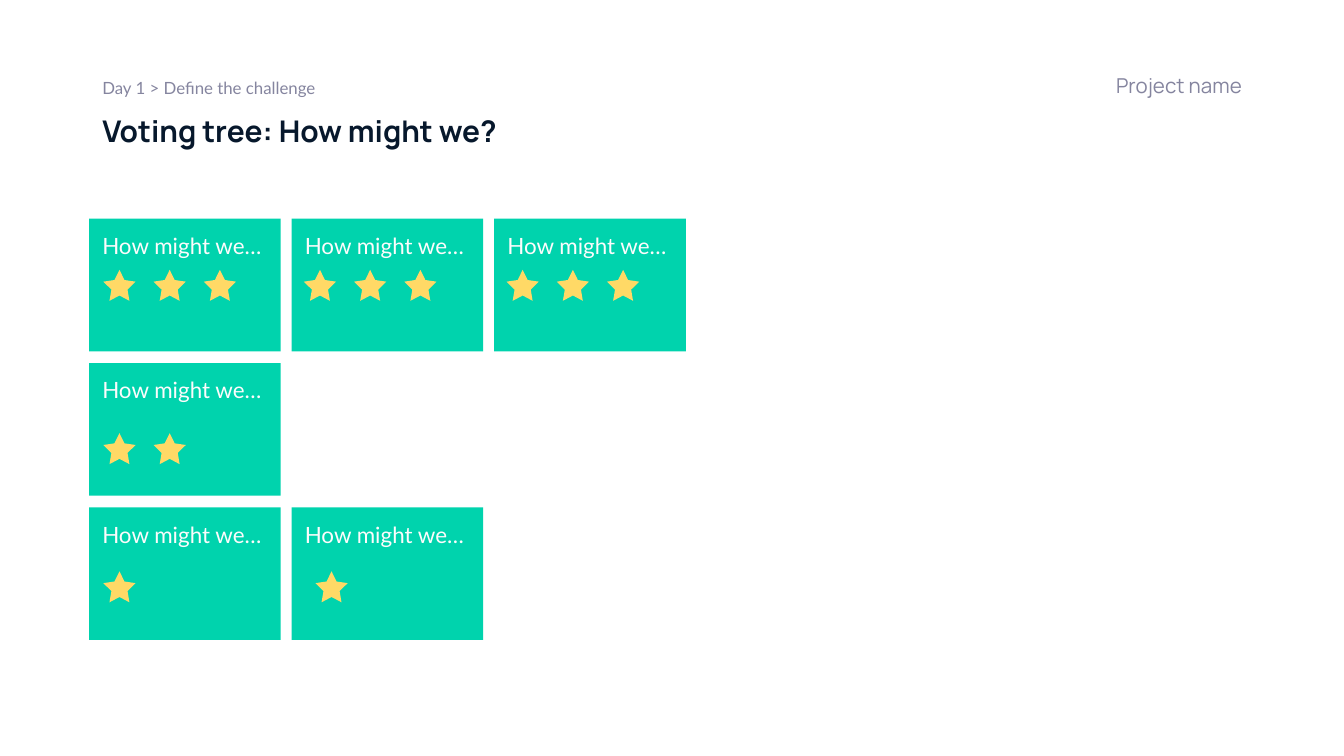
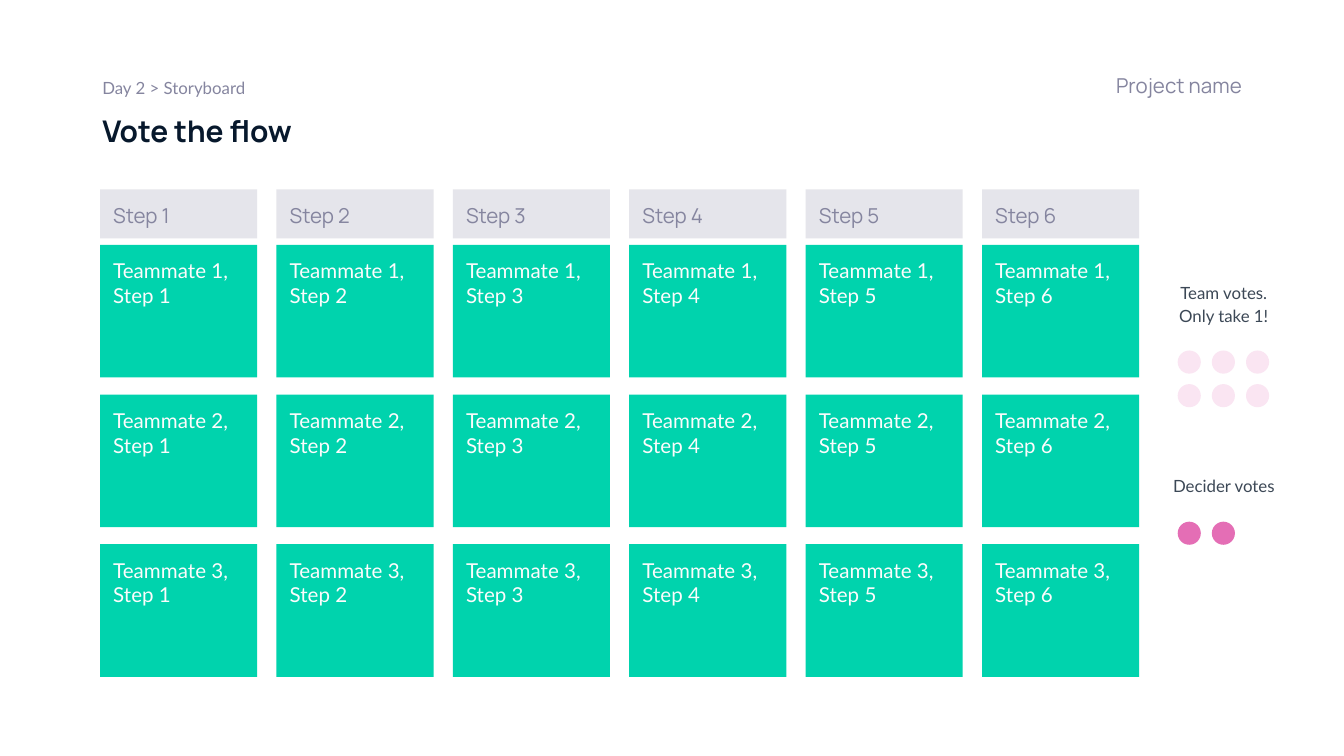
from dataclasses import dataclass

from pptx import Presentation
from pptx.dml.color import RGBColor
from pptx.enum.shapes import MSO_SHAPE
from pptx.enum.text import MSO_ANCHOR, MSO_AUTO_SIZE, PP_ALIGN
from pptx.util import Pt

# Content
PROJECT = "Project name"
VOTING = {
    "crumb": "Day 1 > Define the challenge",
    "title": "Voting tree: How might we?",
    "card": "How might we…",
    # row, column, votes, offset of the first star from the card
    "cards": [
        (0, 0, 3, 7.7), (0, 1, 3, 6.6), (0, 2, 3, 6.7),
        (1, 0, 2, 7.7),
        (2, 0, 1, 7.7), (2, 1, 1, 12.8),
    ],
}
FLOW = {
    "crumb": "Day 2 > Storyboard",
    "title": "Vote the flow",
    "steps": [f"Step {n}" for n in range(1, 7)],
    "teammates": [f"Teammate {n}" for n in range(1, 4)],
    # label, label box, dots, dots per row, top of the dots, colour name
    "votes": [
        ("Team votes. Only take 1!", (622.8, 152.6, 65.5, 19.4), 6, 3, 187.8, "team"),
        ("Decider votes", (618.5, 249.8, 74.2, 19.4), 2, 3, 279.5, "decider"),
    ],
}


@dataclass(frozen=True)
class Theme:
    head: str = "Manrope"
    body: str = "Lato"
    title_size: float = 16
    card_size: float = 12
    text_size: float = 11
    small_size: float = 9
    inset: float = 7.2
    white: str = "FFFFFF"
    ink: str = "07182C"
    muted: str = "85859F"
    label: str = "3C4856"
    on_card: str = "FCFCFC"
    card: str = "00D3AD"
    step: str = "E5E5EB"
    star: str = "FFD966"
    team: str = "FAE5F2"
    decider: str = "E46EB5"


T = Theme()


# Helpers
def write(sp, text, font, size, color, bold=False, align=PP_ALIGN.LEFT,
          anchor=MSO_ANCHOR.TOP, bottom=T.inset):
    tf = sp.text_frame
    tf.word_wrap = True
    tf.auto_size = MSO_AUTO_SIZE.NONE
    tf.vertical_anchor = anchor
    tf.margin_left = tf.margin_top = tf.margin_right = Pt(T.inset)
    tf.margin_bottom = Pt(bottom)
    p = tf.paragraphs[0]
    p.alignment = align
    r = p.add_run()
    r.text = text
    r.font.name, r.font.size, r.font.bold = font, Pt(size), bold
    r.font.color.rgb = RGBColor.from_string(color)
    return p


def add_shape(s, kind, box, fill):
    sp = s.shapes.add_shape(kind, *map(Pt, box))
    sp.shadow.inherit = False
    sp.fill.solid()
    sp.fill.fore_color.rgb = RGBColor.from_string(fill)
    sp.line.fill.background()
    return sp


def add_text(s, box, *args, **kwargs):
    return write(s.shapes.add_textbox(*map(Pt, box)), *args, **kwargs)


def add_card(s, box, text, size):
    sp = add_shape(s, MSO_SHAPE.RECTANGLE, box, T.card)
    write(sp, text, T.body, size, T.on_card)


def add_slide(prs, content):
    s = prs.slides.add_slide(prs.slide_layouts[5])
    s.background.fill.solid()
    s.background.fill.fore_color.rgb = RGBColor.from_string(T.white)
    sp = s.shapes.title
    sp.left, sp.top, sp.width, sp.height = map(Pt, (47.7, 53.3, 467.3, 33.8))
    write(sp, content["title"], T.head, T.title_size, T.ink, bold=True)
    add_text(s, (360, 33.1, 312.5, 23.8), PROJECT, T.head, T.text_size, T.muted,
             align=PP_ALIGN.RIGHT, anchor=MSO_ANCHOR.BOTTOM, bottom=4.5)
    add_text(s, (47.7, 34.6, 154, 19.4), content["crumb"], T.body, T.small_size, T.muted)
    return s


# Slide 1: cards grouped by number of votes
def voting_slide(prs):
    s = add_slide(prs, VOTING)
    left, top, dx, dy = 47.7, 117.2, 108.5, 77.3
    star_tops = (144.6, 232.1, 306.1)
    for row, col, votes, offset in VOTING["cards"]:
        x = left + col * dx
        add_card(s, (x, top + row * dy, 102.7, 71.1), VOTING["card"], T.card_size)
        for i in range(votes):
            box = (x + offset + i * 26.9, star_tops[row], 17.3, 16.6)
            star = add_shape(s, MSO_SHAPE.STAR_5_POINT, box, T.star)
            star.adjustments[0] = 0.25


# Slide 2: storyboard grid with vote dots
def flow_slide(prs):
    s = add_slide(prs, FLOW)
    left, top, dx, dy, width = 53.6, 131.2, 94.5, 80.2, 84.2
    for col, step in enumerate(FLOW["steps"]):
        x = left + col * dx
        sp = add_shape(s, MSO_SHAPE.RECTANGLE, (x, 101.4, width, 26.4), T.step)
        write(sp, step, T.head, T.text_size, T.muted)
        for row, mate in enumerate(FLOW["teammates"]):
            add_card(s, (x, top + row * dy, width, 71.1), f"{mate}, {step}", T.text_size)

    for label, box, dots, per_row, dots_top, color in FLOW["votes"]:
        p = add_text(s, box, label, T.body, T.small_size, T.label,
                     align=PP_ALIGN.CENTER, anchor=MSO_ANCHOR.MIDDLE)
        p.line_spacing, p.space_before, p.space_after = 1.15, Pt(20), Pt(6)
        for i in range(dots):
            row, col = divmod(i, per_row)
            add_shape(s, MSO_SHAPE.OVAL,
                      (630.9 + col * 18.3, dots_top + row * 18, 12.4, 12.4),
                      getattr(T, color))


def main():
    prs = Presentation()
    prs.slide_width, prs.slide_height = Pt(720), Pt(405)
    voting_slide(prs)
    flow_slide(prs)
    prs.save("out.pptx")


if __name__ == "__main__":
    main()
